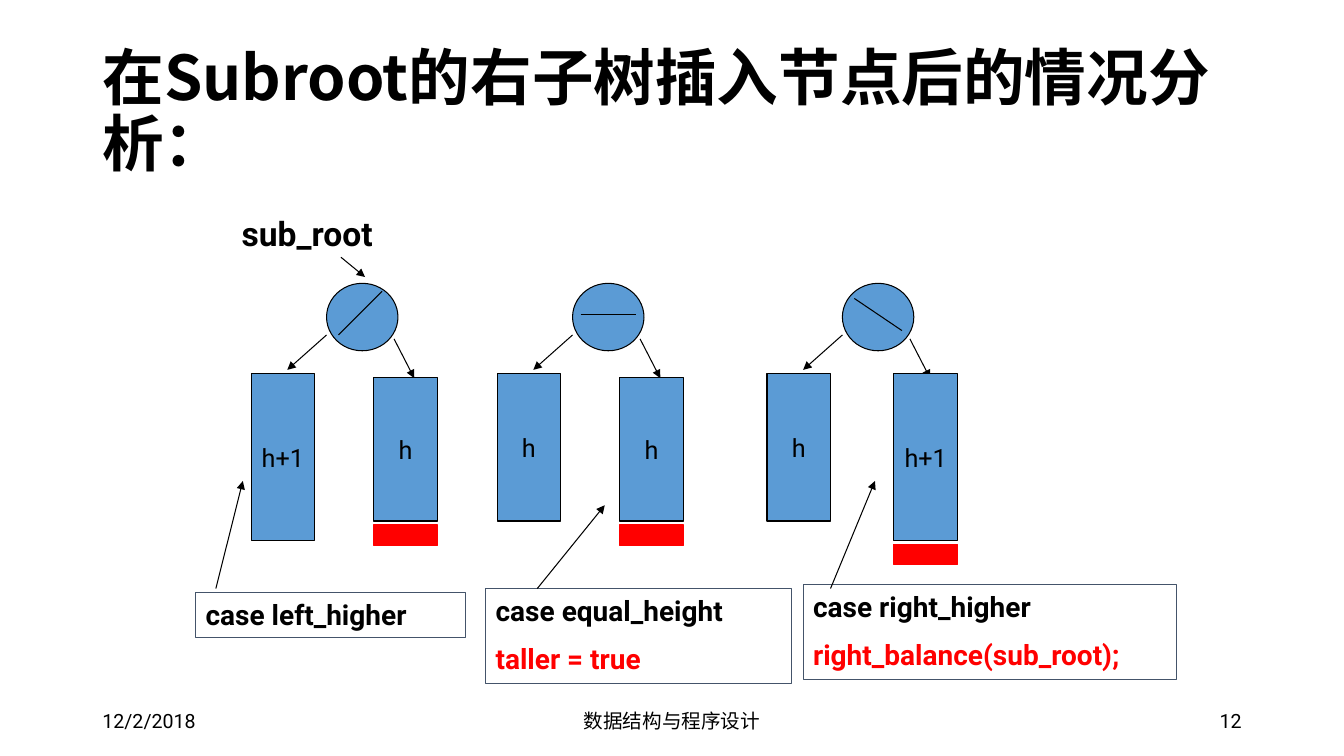
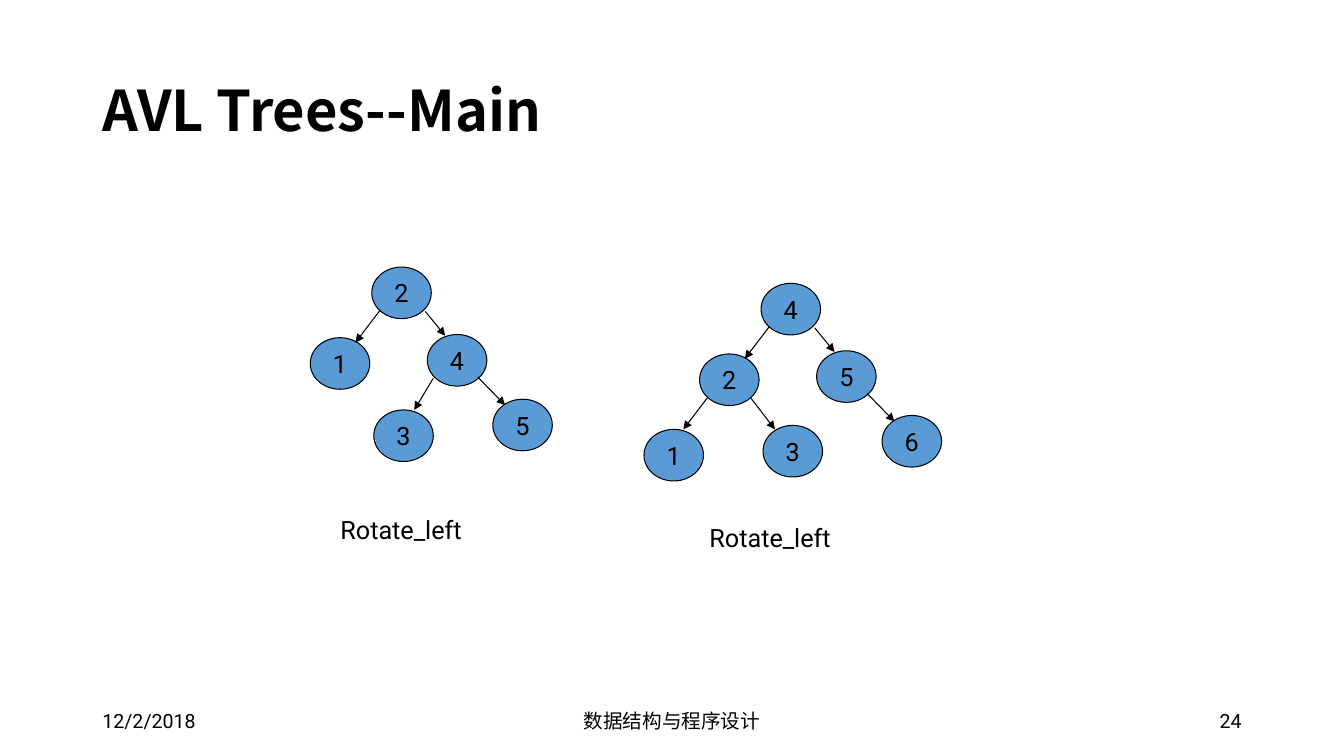
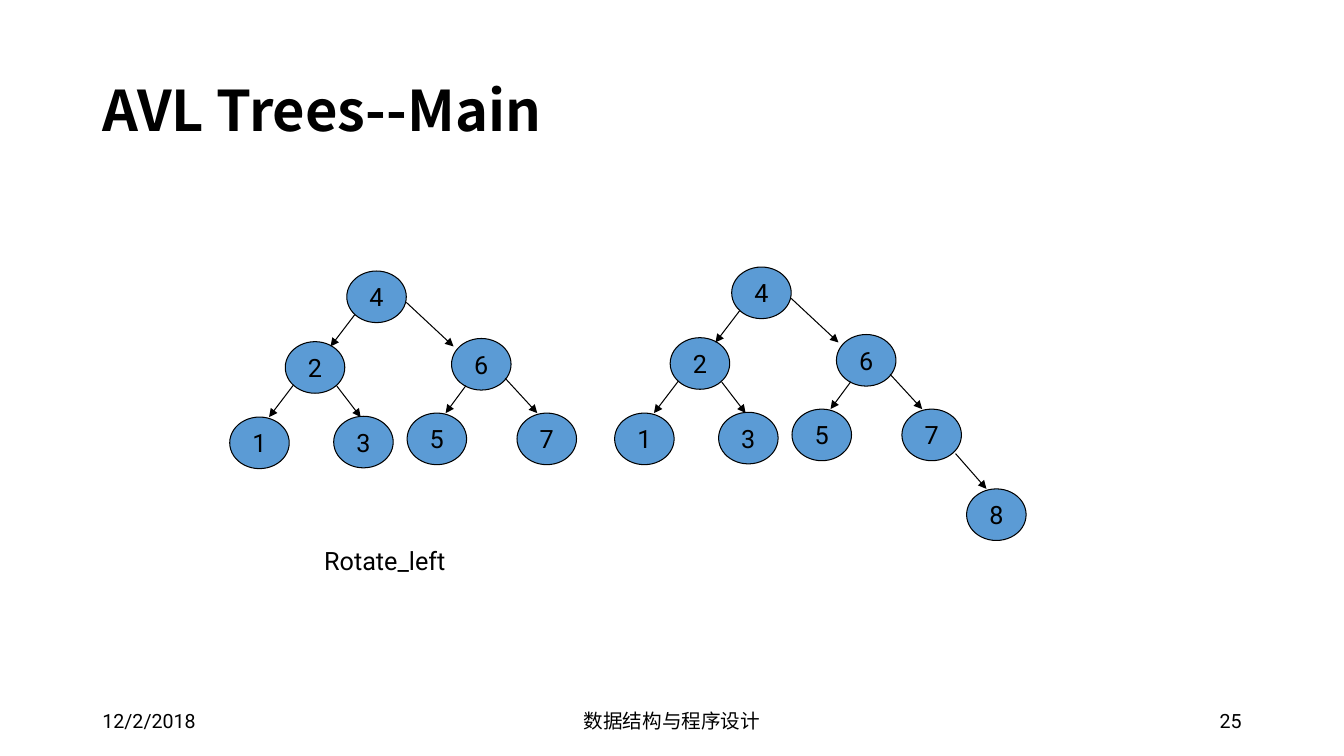
from dataclasses import dataclass
from typing import Optional

from lxml.etree import SubElement
from pptx import Presentation
from pptx.dml.color import RGBColor
from pptx.enum.shapes import MSO_CONNECTOR as Line, MSO_SHAPE as Preset
from pptx.enum.text import MSO_ANCHOR as Anchor, PP_ALIGN as Align
from pptx.oxml.ns import qn
from pptx.util import Cm, Pt

# Shared style
BLACK, BLUE, RED, SLATE, WHITE = "000000", "5B9BD5", "FF0000", "44546A", "FFFFFF"
BODY_FONT, TITLE_FONT = "Roboto", "Noto Sans CJK SC"
MARGIN, CONTENT_WIDTH = 2.33, 29.21
FOOTER_TOP, FOOTER_HEIGHT = 17.65, 1.02
NODE_WIDTH, NODE_HEIGHT = 1.5, 1.3

Point = tuple[float, float]


@dataclass
class Span:
    text: str
    size: float = 18
    color: str = BLACK
    bold: bool = False
    font: str = BODY_FONT


@dataclass
class Branch:
    """Offsets from the parent's top left corner."""
    child: Point
    start: Point
    end: Point


@dataclass
class Node:
    key: str
    children: tuple[tuple[Branch, "Node"], ...] = ()


@dataclass
class Case:
    """Tilt and right-hand offsets count from the circle's top left corner."""
    circle_left: float
    tilt: tuple[Point, Point]
    left_label: str
    left_height: float
    right_label: str
    right_at: Point
    right_height: float
    caption_at: Point
    caption_size: Point
    caption: tuple[str, ...]
    caption_fill: Optional[str]
    pointer: tuple[Point, Point]


# Ways a child hangs below its parent
HIGH_LEFT = Branch((-1.55, 1.78), (0.2, 1.1), (-0.41, 1.9))
LOW_LEFT = Branch((-1.4, 1.9), (0.2, 1.1), (-0.41, 1.9))
STEEP_LEFT = Branch((-1.35, 1.9), (0.15, 1.1), (-0.33, 1.9))
NARROW_LEFT = Branch((-1.12, 1.88), (0.36, 1.19), (-0.15, 1.88))
HIGH_RIGHT = Branch((1.4, 1.7), (1.35, 1.12), (1.85, 1.73))
MIDDLE_RIGHT = Branch((1.6, 1.8), (1.3, 1.12), (1.9, 1.9))
NARROW_RIGHT = Branch((1.22, 1.88), (1.3, 1.12), (1.9, 1.9))
OUTER_RIGHT = Branch((1.65, 1.63), (1.27, 1.07), (1.96, 1.78))
LOW_RIGHT = Branch((1.65, 1.88), (1.35, 1), (2.16, 1.88))
LAST_RIGHT = Branch((1.63, 2.01), (1.35, 1.12), (2.13, 2.01))
WIDE_RIGHT = Branch((2.64, 1.7), (1.5, 0.79), (2.69, 1.9))


def rgb(value: str) -> RGBColor:
    return RGBColor.from_string(value)


def shift(origin: Point, offset: Point) -> Point:
    return origin[0] + offset[0], origin[1] + offset[1]


# Drawing helpers
def write(shape, spans: list[Span], align=Align.LEFT, anchor=Anchor.TOP,
          wrap: bool = True, spacing: Optional[float] = None) -> None:
    """Put one span in each paragraph."""
    frame = shape.text_frame
    frame.word_wrap = wrap
    frame.vertical_anchor = anchor
    for index, span in enumerate(spans):
        para = frame.add_paragraph() if index else frame.paragraphs[0]
        para.alignment = align
        if index:
            para.space_before = Pt(span.size / 2)
        if spacing:
            para.line_spacing = spacing
        run = para.add_run()
        run.text = span.text
        font = run.font
        font.name, font.size, font.bold = span.font, Pt(span.size), span.bold
        font.color.rgb = rgb(span.color)
        SubElement(font._element, qn("a:ea")).set("typeface", TITLE_FONT)


def add_text(page, at: Point, size: Point, span: Span, **layout) -> None:
    box = page.shapes.add_textbox(*map(Cm, at + size))
    write(box, [span], **layout)


def add_box(page, preset, at: Point, size: Point, fill: Optional[str] = BLUE,
            line: str = BLACK, label: str = ""):
    box = page.shapes.add_shape(preset, *map(Cm, at + size))
    box.shadow.inherit = False
    if fill:
        box.fill.solid()
        box.fill.fore_color.rgb = rgb(fill)
    else:
        box.fill.background()
    box.line.color.rgb = rgb(line)
    box.line.width = Pt(0.75)
    if label:
        write(box, [Span(label)], Align.CENTER, Anchor.MIDDLE, wrap=False)
    return box


def add_line(page, start: Point, end: Point, arrow: bool = True) -> None:
    line = page.shapes.add_connector(Line.STRAIGHT, *map(Cm, start + end))
    line.line.color.rgb = rgb(BLACK)
    line.line.width = Pt(0.75)
    if arrow:
        SubElement(line.line._get_or_add_ln(), qn("a:tailEnd")).set("type", "triangle")
    SubElement(line._element.spPr, qn("a:effectLst"))


def add_page(deck, title: str, title_size: float, number: int):
    page = deck.slides.add_slide(deck.slide_layouts[6])
    add_text(page, (MARGIN, 1.02), (CONTENT_WIDTH, 3.68),
             Span(title, title_size, bold=True, font=TITLE_FONT),
             anchor=Anchor.MIDDLE, spacing=0.9)
    footers = (
        (MARGIN, 7.62, "12/2/2018", Align.LEFT),
        (11.22, 11.43, "数据结构与程序设计", Align.CENTER),
        (MARGIN + CONTENT_WIDTH - 7.62, 7.62, str(number), Align.RIGHT),
    )
    for left, width, text, align in footers:
        add_text(page, (left, FOOTER_TOP), (width, FOOTER_HEIGHT),
                 Span(text, 14), align=align, anchor=Anchor.MIDDLE)
    return page


def draw_tree(page, node: Node, at: Point) -> None:
    add_box(page, Preset.OVAL, at, (NODE_WIDTH, NODE_HEIGHT), label=node.key)
    for branch, child in node.children:
        draw_tree(page, child, shift(at, branch.child))
        add_line(page, shift(at, branch.start), shift(at, branch.end))


def draw_case(page, case: Case) -> None:
    # Root with its balance mark
    root = (case.circle_left, 7.14)
    add_box(page, Preset.OVAL, root, (1.8, 1.7))
    add_line(page, shift(root, case.tilt[0]), shift(root, case.tilt[1]), arrow=False)
    add_line(page, shift(root, (0, 1.3)), shift(root, (-0.99, 2.18)))
    add_line(page, shift(root, (1.7, 1.4)), shift(root, (2.21, 2.39)))
    # Subtrees and the inserted node
    right = shift(root, case.right_at)
    add_box(page, Preset.RECTANGLE, shift(root, (-1.9, 2.28)),
            (1.6, case.left_height), label=case.left_label)
    add_box(page, Preset.RECTANGLE, right, (1.6, case.right_height),
            label=case.right_label)
    add_box(page, Preset.RECTANGLE, shift(right, (0, case.right_height + 0.1)),
            (1.6, 0.51), RED, RED)
    # Caption
    caption = add_box(page, Preset.RECTANGLE, case.caption_at, case.caption_size,
                      case.caption_fill, SLATE)
    write(caption, [Span(text, 20, RED if index else BLACK, True)
                    for index, text in enumerate(case.caption)])
    add_line(page, *case.pointer)


# Slide contents
CASES = (
    Case(8.23, ((1.4, 0.2), (0.3, 1.3)), "h+1", 4.19, "h", (1.19, 2.38), 3.61,
         (4.93, 14.94), (6.81, 1.12), ("case left_higher",), None,
         ((5.44, 14.83), (6.12, 12.12))),
    Case(14.43, ((0.2, 0.79), (1.6, 0.79)), "h", 3.71, "h", (1.19, 2.38), 3.61,
         (12.24, 14.83), (7.7, 2.39), ("case equal_height", "taller = true"), None,
         ((13.54, 14.83), (15.24, 12.73))),
    Case(21.23, ((0.3, 0.38), (1.5, 1.19)), "h", 3.71, "h+1", (1.3, 2.28), 4.19,
         (20.24, 14.73), (9.4, 2.39),
         ("case right_higher", "right_balance(sub_root);"), WHITE,
         ((20.93, 14.83), (22.05, 12.12))),
)

LOW_PAIR = Node("2", ((LOW_LEFT, Node("1")), (NARROW_RIGHT, Node("3"))))


def seven_tree(last: Node) -> Node:
    right = Node("6", ((NARROW_LEFT, Node("5")), (LOW_RIGHT, last)))
    return Node("4", ((HIGH_LEFT, LOW_PAIR), (WIDE_RIGHT, right)))


FIVE_TREE = Node("2", (
    (HIGH_LEFT, Node("1")),
    (HIGH_RIGHT, Node("4", ((STEEP_LEFT, Node("3")), (OUTER_RIGHT, Node("5"))))),
))
SIX_TREE = Node("4", (
    (HIGH_LEFT, Node("2", ((LOW_LEFT, Node("1")), (MIDDLE_RIGHT, Node("3"))))),
    (HIGH_RIGHT, Node("5", ((OUTER_RIGHT, Node("6")),))),
))

# Page number, trees with their places, caption places
TREE_PAGES = (
    (24, ((FIVE_TREE, (9.37, 6.73)), (SIX_TREE, (19.18, 7.14))),
     ((8.33, 12.83), (17.63, 13.03))),
    (25, ((seven_tree(Node("7")), (8.74, 6.83)),
          (seven_tree(Node("7", ((LAST_RIGHT, Node("8")),))), (18.44, 6.73))),
     ((7.92, 13.61),)),
)


def main() -> None:
    deck = Presentation()
    deck.slide_width, deck.slide_height = Cm(33.87), Cm(19.05)

    # Insertion cases
    page = add_page(deck, "在Subroot的右子树插入节点后的情况分析：", 44, 12)
    for case in CASES:
        draw_case(page, case)
    add_text(page, (5.84, 5.23), (5, 1.27), Span("sub_root", 24, bold=True))
    add_line(page, (8.59, 6.48), (9.2, 6.98))

    # Rotation trees
    for number, trees, captions in TREE_PAGES:
        page = add_page(deck, "AVL Trees--Main", 40, number)
        for tree, at in trees:
            draw_tree(page, tree, at)
        for at in captions:
            add_text(page, at, (4.8, 1.02), Span("Rotate_left"))

    deck.save("out.pptx")


if __name__ == "__main__":
    main()
